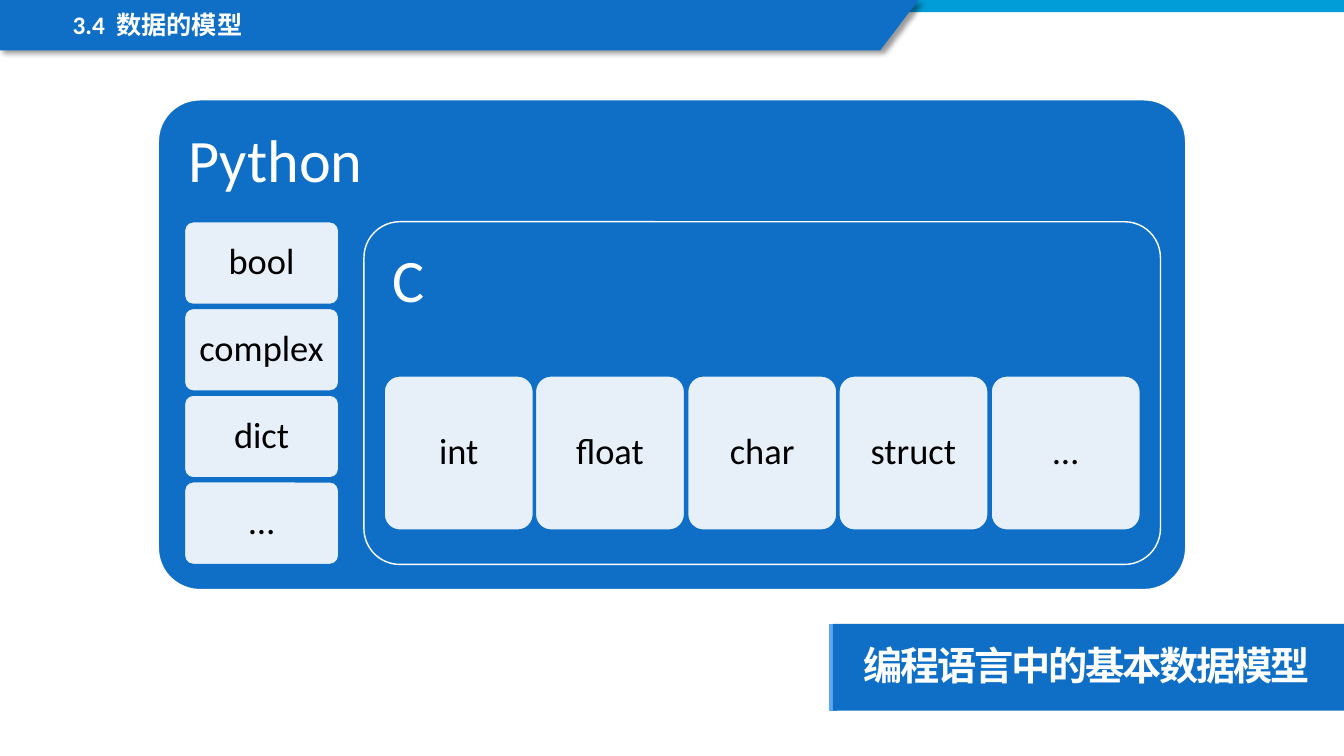
from dataclasses import dataclass

from lxml import etree
from pptx import Presentation, util as u
from pptx.dml.color import RGBColor
from pptx.enum import shapes, text
from pptx.oxml.ns import qn

PX = 9144  # EMU per px, 100 px to the inch
LATIN, CHINESE = "Calibri", "Noto Sans CJK SC"
COLORS = {
    "blue": "0F6FC6",
    "cyan": "009DD9",
    "edge": "59AAF2",
    "white": "FFFFFF",
    "black": "000000",
}


@dataclass(frozen=True)
class Box:
    left: int
    top: int
    width: int
    height: int

    def emu(self) -> list[int]:
        return [v * PX for v in (self.left, self.top, self.width, self.height)]


@dataclass(frozen=True)
class Panel:
    """A rounded block that stands for a language or one of its types."""
    label: str
    box: Box
    corner: float = 0.105
    is_language: bool = False


def rgb(name: str) -> RGBColor:
    return RGBColor.from_string(COLORS[name])


def fill_plain(shape, color: str) -> None:
    shape.fill.solid()
    shape.fill.fore_color.rgb = rgb(color)
    shape.line.fill.background()
    shape.shadow.inherit = False


def write(shape, words: str, size: int, color: str, font: str = LATIN,
          bold: bool = False, align=text.PP_ALIGN.LEFT,
          anchor=text.MSO_ANCHOR.MIDDLE, insets=(11, 11, 11, 11)):
    """Put one paragraph in the shape; insets are left, top, right, bottom."""
    frame = shape.text_frame
    frame.word_wrap = True
    frame.auto_size = text.MSO_AUTO_SIZE.NONE
    frame.vertical_anchor = anchor
    (frame.margin_left, frame.margin_top,
     frame.margin_right, frame.margin_bottom) = [v * PX for v in insets]
    paragraph = frame.paragraphs[0]
    paragraph.alignment = align
    paragraph.line_spacing = 0.9
    paragraph.space_before = u.Pt(0)
    run = paragraph.add_run()
    run.text = words
    run.font.name = font
    run.font.size = u.Pt(size)
    run.font.bold = bold
    run.font.color.rgb = rgb(color)
    return run


def use_chinese_font(run) -> None:
    east_asian = etree.SubElement(run.font._element, qn("a:ea"))
    east_asian.set("typeface", CHINESE)


def draw_rectangle(slide, box: Box, color: str):
    shape = slide.shapes.add_shape(shapes.MSO_SHAPE.RECTANGLE, *box.emu())
    fill_plain(shape, color)
    return shape


def draw_panel(slide, panel: Panel) -> None:
    shape = slide.shapes.add_shape(
        shapes.MSO_SHAPE.ROUNDED_RECTANGLE, *panel.box.emu())
    shape.adjustments[0] = panel.corner
    fill_plain(shape, "blue" if panel.is_language else "white")
    shape.line.color.rgb = rgb("white" if panel.is_language else "blue")
    shape.line.width = u.Pt(1)
    if panel.is_language:
        write(shape, panel.label, 43, "white",
              anchor=text.MSO_ANCHOR.TOP, insets=(18, 18, 18, 18))
    else:
        color = shape.element.spPr.find(qn("a:solidFill"))[0]
        etree.SubElement(color, qn("a:alpha")).set("val", "90000")
        write(shape, panel.label, 26, "black", align=text.PP_ALIGN.CENTER)


def draw_header(slide) -> None:
    draw_rectangle(slide, Box(0, 0, 1333, 12), "cyan")
    builder = slide.shapes.build_freeform(0, 0, scale=PX)
    builder.add_line_segments([(911, 0), (873, 50), (0, 50)], close=True)
    ribbon = builder.convert_to_shape()
    fill_plain(ribbon, "blue")
    effects = ribbon.element.spPr.find(qn("a:effectLst"))
    shadow = etree.SubElement(
        effects, qn("a:outerShdw"), blurRad=str(u.Pt(4)), dist=str(u.Pt(3)),
        dir="2700000", algn="tl", rotWithShape="0")
    color = etree.SubElement(shadow, qn("a:srgbClr"), val=COLORS["black"])
    etree.SubElement(color, qn("a:alpha"), val="40000")


def draw_title(slide) -> None:
    title = slide.shapes.title
    title.left, title.top, title.width, title.height = Box(62, 7, 696, 38).emu()
    run = write(title, "3.4  数据的模型", 18, "white", bold=True,
                insets=(10, 5, 10, 5))
    use_chinese_font(run)
    # The title must lie in front of the ribbon.
    slide.shapes.element.append(title.element)


def draw_caption(slide) -> None:
    box = Box(826, 619, 507, 86)
    edge = slide.shapes.add_connector(
        shapes.MSO_CONNECTOR.STRAIGHT, box.left * PX,
        (box.top + box.height) * PX, box.left * PX, box.top * PX)
    edge.line.color.rgb = rgb("edge")
    edge.line.width = u.Pt(6)
    etree.SubElement(edge.element.spPr, qn("a:effectLst"))
    caption = draw_rectangle(slide, box, "blue")
    run = write(caption, "编程语言中的基本数据模型", 28, "white",
                font=CHINESE, bold=True, insets=(30, 20, 20, 20))
    run.font._element.set("spc", "-150")
    use_chinese_font(run)


def language_panels() -> list[Panel]:
    python_types = [
        Panel(label, Box(183, 220 + 86 * row, 153, 82))
        for row, label in enumerate(["bool", "complex", "dict", "…"])]
    c_types = [
        Panel(label, Box(381 + 301 * column // 2, 373, 148, 153))
        for column, label in enumerate(["int", "float", "char", "struct", "…"])]
    return [
        Panel("Python", Box(157, 99, 1019, 486), 0.085, True), *python_types,
        Panel("C", Box(361, 220, 790, 340), is_language=True), *c_types]


def main() -> None:
    presentation = Presentation()
    presentation.slide_width = 1333 * PX
    presentation.slide_height = 750 * PX
    slide = presentation.slides.add_slide(presentation.slide_layouts[5])
    draw_header(slide)
    for panel in language_panels():
        draw_panel(slide, panel)
    draw_caption(slide)
    draw_title(slide)
    presentation.save("out.pptx")


if __name__ == "__main__":
    main()
